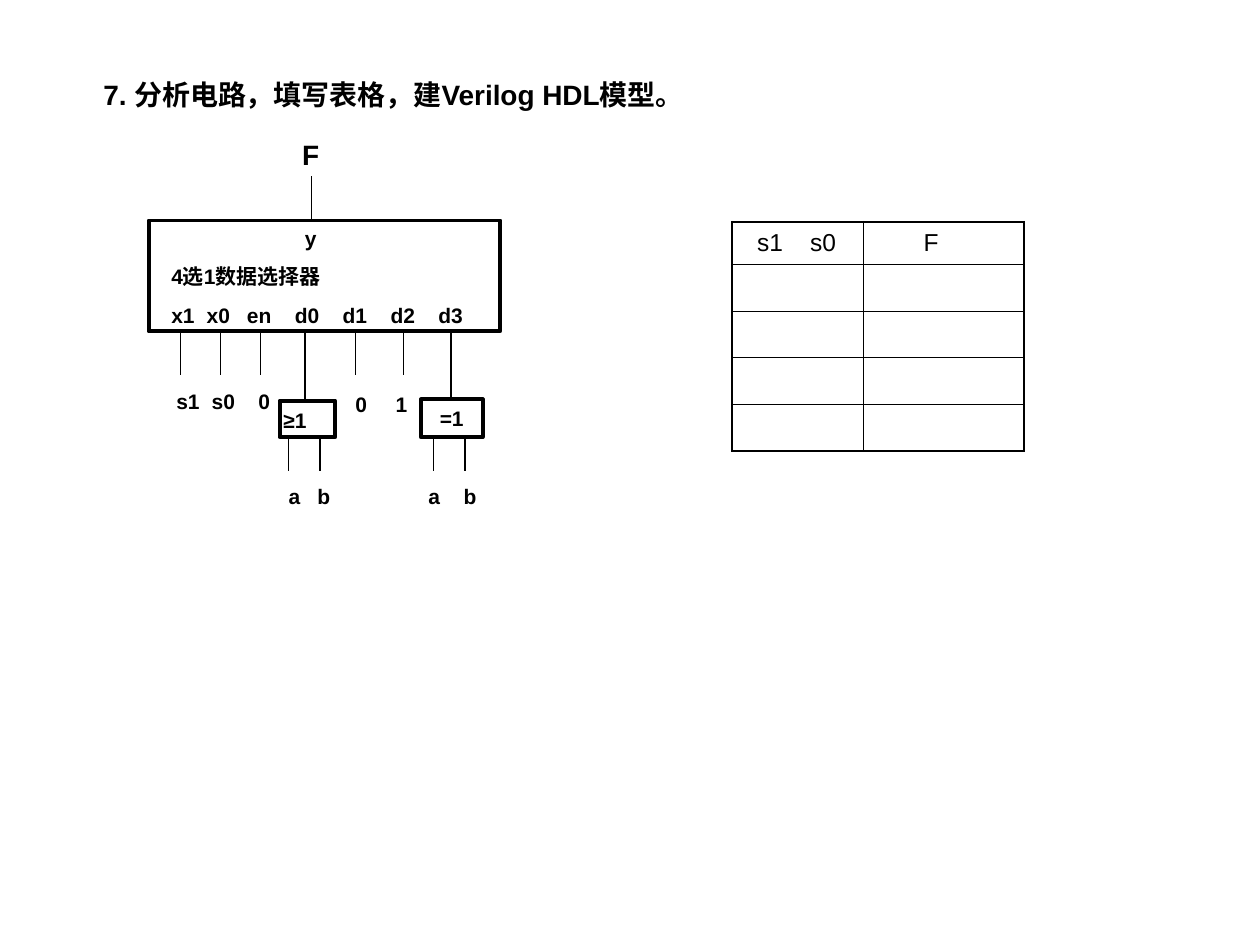
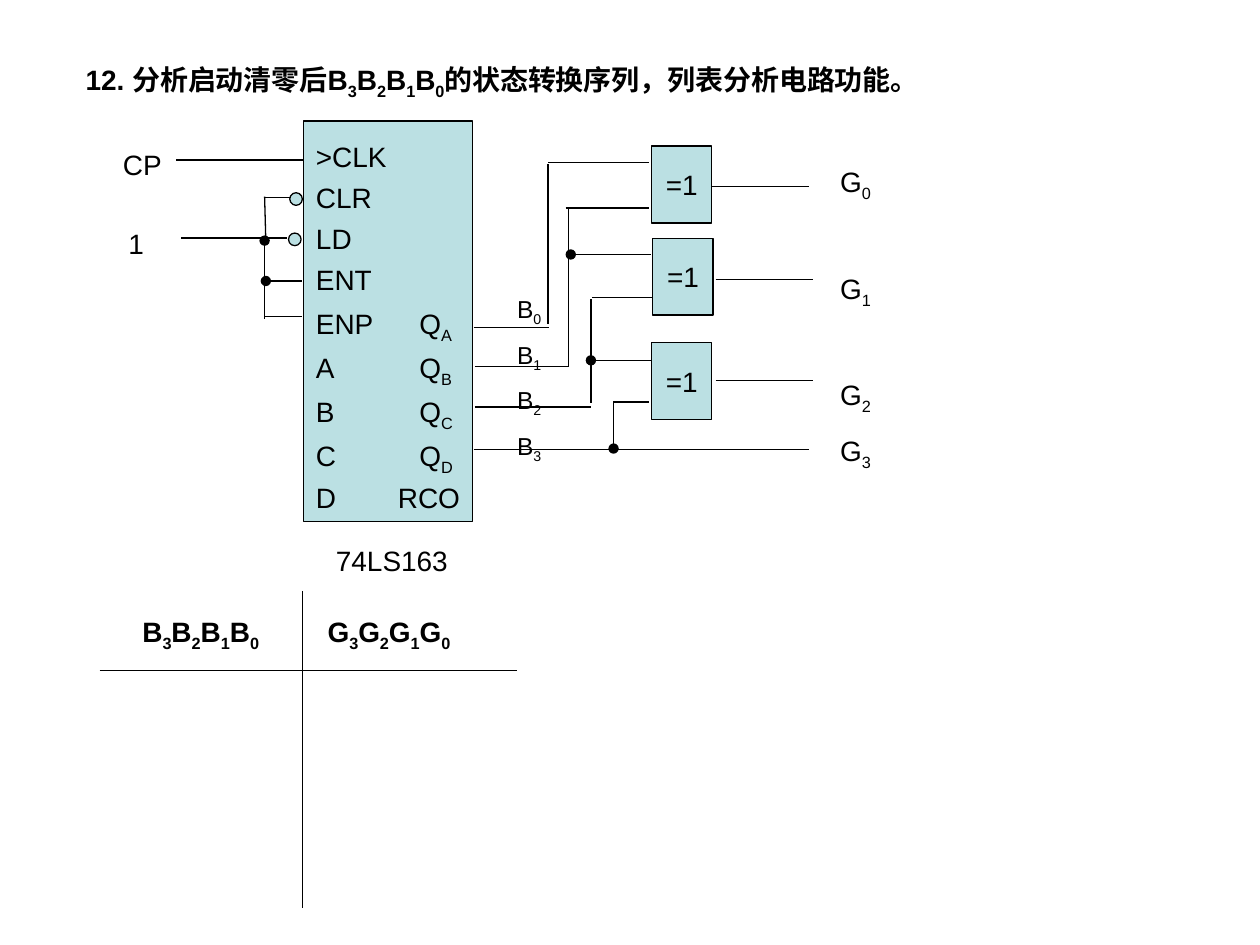
import lxml.etree
import pptx
import pptx.dml.color
import pptx.enum.shapes
import pptx.enum.text
import pptx.oxml.ns
import pptx.util

Inches = pptx.util.Inches
Pt = pptx.util.Pt
qn = pptx.oxml.ns.qn
SHAPES = pptx.enum.shapes.MSO_SHAPE
ALIGN = pptx.enum.text.PP_ALIGN
ANCHOR = pptx.enum.text.MSO_ANCHOR

BLACK = pptx.dml.color.RGBColor(0x00, 0x00, 0x00)
PALE_TEAL = pptx.dml.color.RGBColor(0xBB, 0xE0, 0xE3)
FONT = "Arial"
THIN, THICK = 0.75, 2.25
SUBSCRIPT = "-25000"
TITLE_LAYOUT = 5


def set_attributes(target, values):
    for name, value in values.items():
        setattr(target, name, value)


def add_runs(paragraph, text, size, bold):
    pieces = []
    for index, part in enumerate(text.split("_")):
        if index:
            pieces.append((part[0], True))
            part = part[1:]
        if part:
            pieces.append((part, False))
    for content, lowered in pieces:
        run = paragraph.add_run()
        run.text = content
        set_attributes(run.font, {"name": FONT, "size": Pt(size), "bold": bold})
        run.font.color.rgb = BLACK
        if lowered:
            run._r.get_or_add_rPr().set("baseline", SUBSCRIPT)


def add_tab_stops(paragraph, stops):
    if stops:
        tab_list = lxml.etree.SubElement(paragraph._p.get_or_add_pPr(), qn("a:tabLst"))
        for stop in stops:
            lxml.etree.SubElement(tab_list, qn("a:tab"), pos=str(Inches(stop)), algn="l")


def set_text(shape, lines, size=12, bold=False, align=ALIGN.LEFT, anchor=ANCHOR.MIDDLE,
             gaps=0, spacing=1.0, inset_left=0, inset_top=0):
    frame = shape.text_frame
    set_attributes(frame, {
        "word_wrap": True, "auto_size": pptx.enum.text.MSO_AUTO_SIZE.NONE,
        "vertical_anchor": anchor, "margin_left": Inches(inset_left),
        "margin_top": Inches(inset_top), "margin_right": 0, "margin_bottom": 0})
    if not isinstance(gaps, list):
        gaps = [0] + [gaps] * (len(lines) - 1)
    for index, ((text, stops), gap) in enumerate(zip(lines, gaps)):
        paragraph = frame.add_paragraph() if index else frame.paragraphs[0]
        set_attributes(paragraph, {"alignment": align, "space_before": Pt(gap),
                                   "line_spacing": spacing})
        add_tab_stops(paragraph, stops)
        add_runs(paragraph, text, size, bold)


def add_title(slide, text, left, top, width, height):
    title = slide.shapes.title
    set_attributes(title, {"left": Inches(left), "top": Inches(top),
                           "width": Inches(width), "height": Inches(height)})
    set_text(title, [(text, [])], size=16, bold=True, inset_left=0.1)


def add_label(slide, lines, left, top, width, height, **text_format):
    box = slide.shapes.add_textbox(Inches(left), Inches(top), Inches(width), Inches(height))
    set_text(box, lines, **text_format)


def add_block(slide, kind, left, top, width, height, fill=None, weight=THIN):
    shape = slide.shapes.add_shape(kind, Inches(left), Inches(top), Inches(width), Inches(height))
    shape.shadow.inherit = False
    if fill is None:
        shape.fill.background()
    else:
        shape.fill.solid()
        shape.fill.fore_color.rgb = fill
    shape.line.color.rgb = BLACK
    shape.line.width = Pt(weight)
    return shape


def add_wires(slide, left, top, wires, dotted=False):
    for start_x, start_y, end_x, end_y in wires:
        wire = slide.shapes.add_connector(
            pptx.enum.shapes.MSO_CONNECTOR.STRAIGHT, Inches(left + start_x),
            Inches(top + start_y), Inches(left + end_x), Inches(top + end_y))
        wire.line.color.rgb = BLACK
        wire.line.width = Pt(THIN)
        if dotted:
            lxml.etree.SubElement(wire.line._get_or_add_ln(), qn("a:headEnd"), type="oval")
        lxml.etree.SubElement(wire._element.spPr, qn("a:effectLst"))


def draw_input_gate(slide, left, top, width, height, symbol, first_input, **text_format):
    gate = add_block(slide, SHAPES.RECTANGLE, left, top, width, height, weight=THICK)
    set_text(gate, [(symbol, [])], bold=True, **text_format)
    add_wires(slide, left + first_input, top + height,
              [(x, 0, x, 0.27) for x in (0, 0.25)])


def draw_multiplexer(slide, left, top):
    height, pins_end, gates_top = 0.88, 1.23, 1.43
    body = add_block(slide, SHAPES.RECTANGLE, left, top, 2.79, height, weight=THICK)
    set_text(body, [("\ty", [1.06]), ("4选1数据选择器", []),
                    ("x1\tx0\ten\td0\td1\td2\td3", [0.28, 0.6, 0.98, 1.36, 1.74, 2.12])],
             bold=True, anchor=ANCHOR.TOP, gaps=7.5, inset_left=0.18, inset_top=0.04)
    add_label(slide, [("F", [])], left + 1, top - 0.71, 0.57, 0.37,
              size=16, bold=True, align=ALIGN.CENTER)
    pin_ends = {0.25: pins_end, 0.57: pins_end, 0.89: pins_end, 1.24: gates_top,
                1.64: pins_end, 2.02: pins_end, 2.4: gates_top}
    add_wires(slide, left, top, [(1.29, 0, 1.29, -0.35)])
    add_wires(slide, left, top, [(x, height, x, end) for x, end in pin_ends.items()])
    draw_input_gate(slide, left + 1.04, top + gates_top, 0.44, 0.29, "≥1", 0.07,
                    inset_left=0.03, inset_top=0.02)
    draw_input_gate(slide, left + 2.16, top + gates_top - 0.01, 0.49, 0.3, "=1", 0.1,
                    align=ALIGN.CENTER)
    signals = [("s1\ts0\t0", [0.28, 0.65], 0.22, 1.28), ("0\t1", [0.32], 1.64, 1.31),
               ("a\tb", [0.23], 1.11, 2.04), ("a\tb", [0.28], 2.22, 2.04)]
    for text, stops, x, y in signals:
        add_label(slide, [(text, stops)], left + x, top + y, 0.9, 0.3, bold=True)


def set_borders(cell, weights):
    properties = cell._tc.get_or_add_tcPr()
    for side, weight in weights.items():
        line = lxml.etree.SubElement(properties, qn("a:ln" + side), w=str(Pt(weight)))
        fill = lxml.etree.SubElement(line, qn("a:solidFill"))
        lxml.etree.SubElement(fill, qn("a:srgbClr"), val=str(BLACK))


def draw_truth_table(slide, left, top):
    columns, rows = [1.04, 1.28], [0.34] + [0.37] * 4
    headers = [("s1\ts0", [0.42], 0.2), ("F", [], 0.48)]
    inner, outer = 0.45, 1.08
    table = slide.shapes.add_table(len(rows), len(columns), Inches(left), Inches(top),
                                   Inches(sum(columns)), Inches(sum(rows))).table
    set_attributes(table, {"first_row": False, "horz_banding": False})
    for column, width in zip(table.columns, columns):
        column.width = Inches(width)
    for row_index, height in enumerate(rows):
        table.rows[row_index].height = Inches(height)
        for column_index, (text, stops, inset) in enumerate(headers):
            cell = table.cell(row_index, column_index)
            set_borders(cell, {
                "L": inner if column_index else outer,
                "R": outer if column_index else inner,
                "T": inner if row_index else outer,
                "B": outer if row_index == len(rows) - 1 else inner})
            cell.fill.background()
            set_attributes(cell, {"margin_left": Inches(inset), "margin_top": 0,
                                  "margin_bottom": 0, "vertical_anchor": ANCHOR.MIDDLE})
            if row_index == 0:
                paragraph = cell.text_frame.paragraphs[0]
                add_tab_stops(paragraph, stops)
                add_runs(paragraph, text, 14, False)


def draw_counter(slide, left, top):
    chip = add_block(slide, SHAPES.RECTANGLE, left, top, 1.34, 3.18, PALE_TEAL)
    pins = [(name, []) for name in (">CLK", "CLR", "LD", "ENT")]
    pins += [(f"{name}\tQ_{output}", [0.82])
             for name, output in zip(("ENP", "A", "B", "C"), "ABCD")]
    pins.append(("D\tRCO", [0.65]))
    set_text(chip, pins, size=16, anchor=ANCHOR.TOP, gaps=10, spacing=0.7,
             inset_left=0.1, inset_top=0.22)
    for x, y in ((-0.11, 0.57), (-0.12, 0.89)):
        add_block(slide, SHAPES.OVAL, left + x, top + y, 0.1, 0.1, PALE_TEAL)
    add_wires(slide, left, top, [
        (-1.01, 0.31, 0, 0.31), (-0.97, 0.93, -0.13, 0.93), (-0.31, 0.61, -0.1, 0.61),
        (-0.31, 1.55, -0.01, 1.55), (-0.31, 0.6, -0.3, 0.96)])
    add_wires(slide, left, top, [(-0.3, 1.27, -0.01, 1.27), (-0.31, 0.95, -0.31, 1.57)],
              dotted=True)
    for text, x, y, width in (("74LS163", 0.03, 3.3, 1.34), ("CP", -1.61, 0.16, 0.66),
                              ("1", -1.55, 0.79, 0.44)):
        add_label(slide, [(text, [])], left + x, top + y, width, 0.37,
                  size=16, align=ALIGN.CENTER)


def draw_gray_encoder(slide, left, top):
    add_label(slide, [(f"B_{bit}", []) for bit in range(4)], left + 0.16, top + 1.33,
              0.58, 1.42, size=14, align=ALIGN.CENTER, anchor=ANCHOR.TOP,
              gaps=8.8, spacing=0.9, inset_top=0.05)
    for x, y in ((1.42, 0.2), (1.43, 0.93), (1.42, 1.76)):
        gate = add_block(slide, SHAPES.RECTANGLE, left + x, top + y, 0.48, 0.61, PALE_TEAL)
        set_text(gate, [("=1", [])], size=16, align=ALIGN.CENTER)
    counter_outputs = [(0.01, 1.64, 0.61, 1.64), (0.02, 1.95, 0.77, 1.95),
                       (0.02, 2.27, 0.94, 2.27), (0.01, 2.61, 2.67, 2.61)]
    risers = [(0.6, 1.61, 0.6, 0.34), (0.76, 1.95, 0.76, 0.69), (0.94, 2.24, 0.94, 1.41)]
    gate_inputs = [(0.6, 0.33, 1.4, 0.33), (0.74, 0.69, 1.4, 0.69),
                   (0.95, 1.4, 1.43, 1.4), (1.12, 2.23, 1.4, 2.23)]
    gate_outputs = [(x, y, x + 0.77, y) for x, y in ((1.9, 0.52), (1.93, 1.26), (1.93, 2.06))]
    add_wires(slide, left, top, counter_outputs + risers + gate_inputs + gate_outputs)
    add_wires(slide, left, top, [(0.78, 1.06, 1.42, 1.06), (0.94, 1.9, 1.42, 1.9),
                                 (1.12, 2.6, 1.12, 2.22)], dotted=True)
    add_label(slide, [(f"G_{bit}", []) for bit in range(4)], left + 2.63, top + 0.3,
              0.82, 2.54, size=16, align=ALIGN.CENTER, anchor=ANCHOR.TOP,
              gaps=[0, 39, 39, 10], inset_top=0.05)


def draw_state_table(slide, left, top):
    add_label(slide, [("B_3B_2B_1B_0\tG_3G_2G_1G_0", [1.47])], left + 0.34, top + 0.13,
              2.76, 0.41, size=16, bold=True)
    add_wires(slide, left, top, [(0, 0.63, 3.31, 0.63), (1.61, 0, 1.61, 2.52)])


def build_multiplexer_slide(presentation):
    slide = presentation.slides.add_slide(presentation.slide_layouts[TITLE_LAYOUT])
    add_title(slide, "7. 分析电路，填写表格，建Verilog HDL模型。", 0.72, 0.56, 7.81, 0.37)
    draw_multiplexer(slide, 1.18, 1.75)
    draw_truth_table(slide, 5.81, 1.76)


def build_counter_slide(presentation):
    slide = presentation.slides.add_slide(presentation.slide_layouts[TITLE_LAYOUT])
    add_title(slide, "12. 分析启动清零后B_3B_2B_1B_0的状态转换序列，列表分析电路功能。",
              0.58, 0.44, 8.24, 0.41)
    draw_counter(slide, 2.41, 0.96)
    draw_gray_encoder(slide, 3.75, 0.96)
    draw_state_table(slide, 0.79, 4.69)


def main():
    presentation = pptx.Presentation()
    set_attributes(presentation, {"slide_width": Inches(10), "slide_height": Inches(7.5)})
    build_multiplexer_slide(presentation)
    build_counter_slide(presentation)
    presentation.save("out.pptx")


if __name__ == "__main__":
    main()
